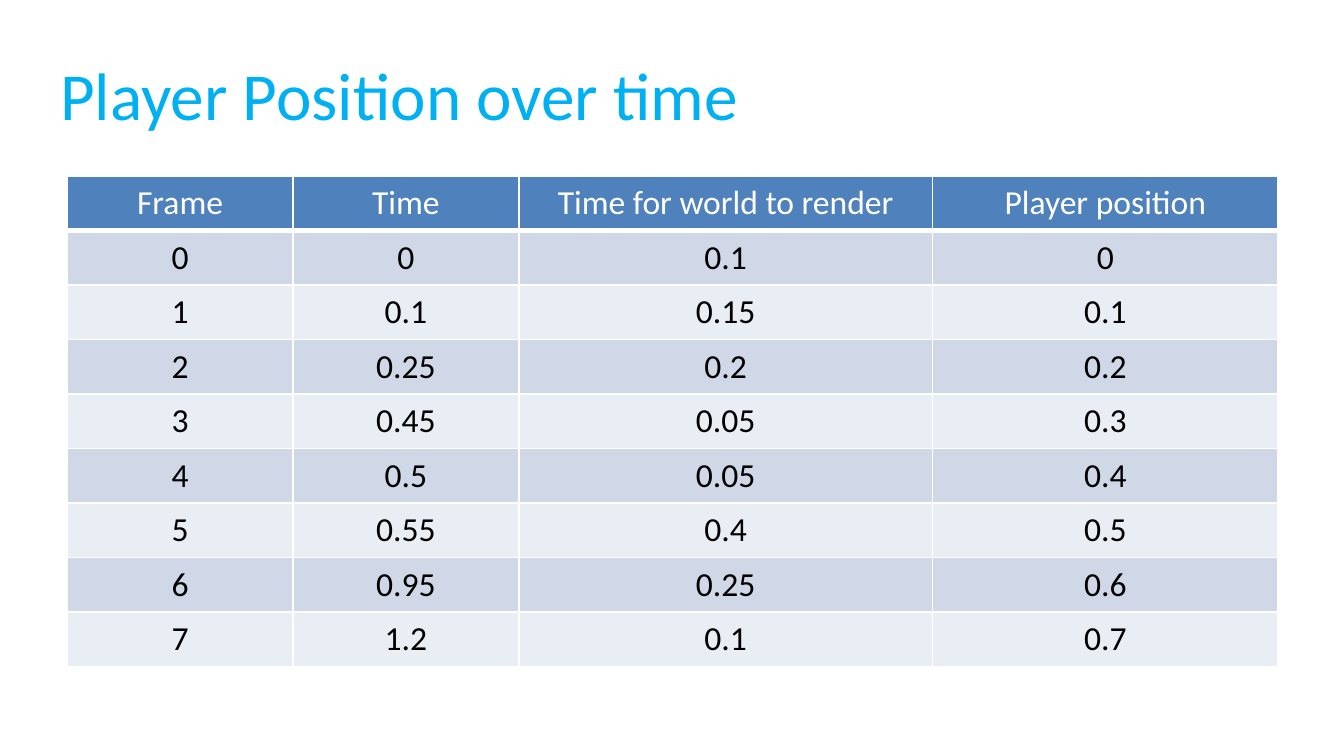
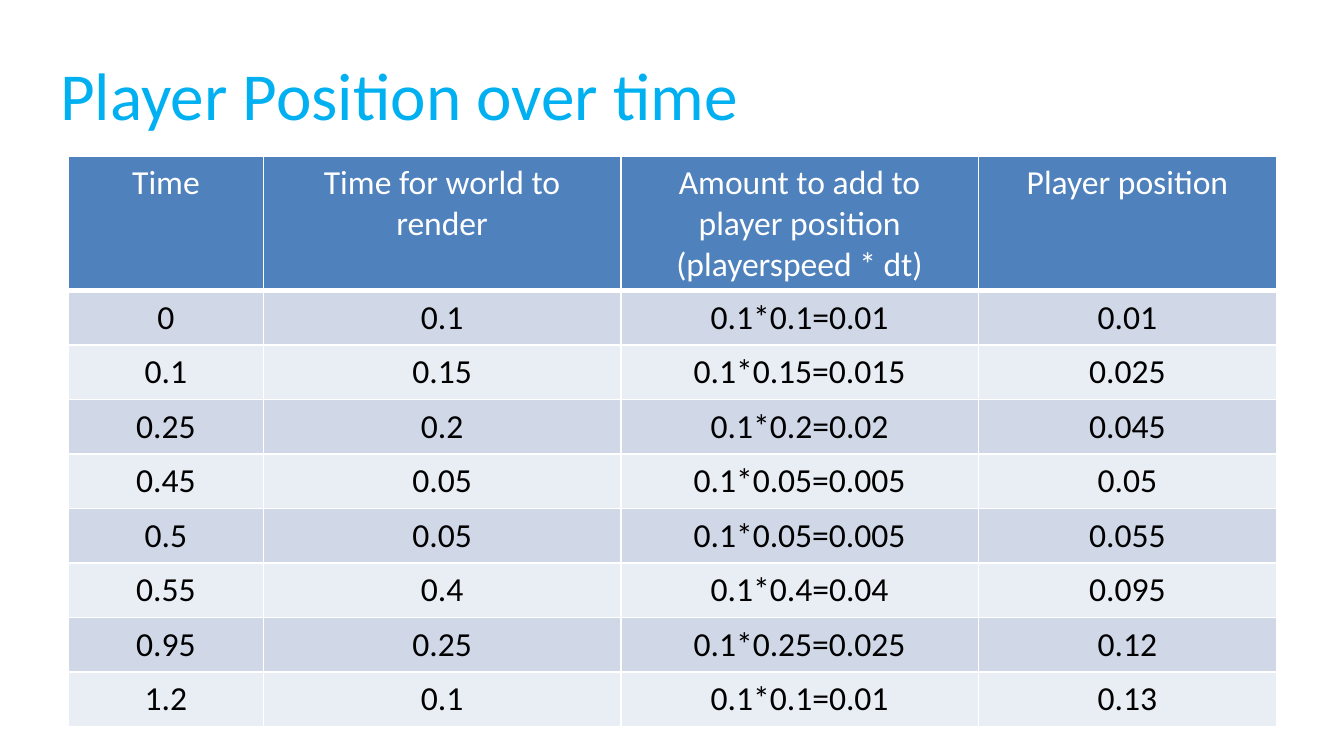
from lxml import etree
from pptx import Presentation
from pptx.dml.color import RGBColor
from pptx.enum import text
from pptx.oxml.ns import qn
from pptx.util import Inches, Pt

COLORS = {
    "title": "00B0F0",
    "header": "4F81BD",
    "odd": "D0D8E8",
    "even": "E9EDF4",
    "white": "FFFFFF",
    "black": "000000",
}
FONT = "Calibri"
TITLE = "Player Position over time"
ROW_HEIGHT = 3.65 / 9

TIMES = ["0", "0.1", "0.25", "0.45", "0.5", "0.55", "0.95", "1.2"]
RENDER_TIMES = ["0.1", "0.15", "0.2", "0.05", "0.05", "0.4", "0.25", "0.1"]
FRAMES = ["0", "1", "2", "3", "4", "5", "6", "7"]
FRAME_POSITIONS = ["0", "0.1", "0.2", "0.3", "0.4", "0.5", "0.6", "0.7"]
AMOUNTS = [f"0.1*{dt}={0.1 * float(dt):g}" for dt in RENDER_TIMES]
SCALED_POSITIONS = ["0.01", "0.025", "0.045", "0.05", "0.055", "0.095", "0.12", "0.13"]

# Each column: heading, width, values
TABLES = [
    {
        "at": (0.5, 1.31),
        "height": 3.65,
        "columns": [
            ("Frame", 1.68, FRAMES),
            ("Time", 1.68, TIMES),
            ("Time for world to render", 3.08, RENDER_TIMES),
            ("Player position", 2.57, FRAME_POSITIONS),
        ],
    },
    {
        "at": (0.51, 1.16),
        "height": 4.24,
        "columns": [
            ("Time", 1.45, TIMES),
            ("Time for world to render", 2.66, RENDER_TIMES),
            ("Amount to add to player position\n(playerspeed * dt)", 2.66, AMOUNTS),
            ("Player position", 2.22, SCALED_POSITIONS),
        ],
    },
]


def rgb(name):
    return RGBColor.from_string(COLORS[name])


def style_text(tf, size, color, align):
    for p in tf.paragraphs:
        p.alignment = align
        for r in p.runs:
            r.font.name = FONT
            r.font.size = Pt(size)
            r.font.bold = False
            r.font.color.rgb = rgb(color)


def add_title(s):
    sp = s.shapes.add_textbox(Inches(0.35), Inches(0.23), Inches(9.15), Inches(0.94))
    tf = sp.text_frame
    tf.word_wrap = True
    tf.vertical_anchor = text.MSO_ANCHOR.MIDDLE
    tf.text = TITLE
    style_text(tf, 36, "title", text.PP_ALIGN.LEFT)


def set_header_borders(cell):
    """White lines round a heading, heavier below; body cells keep the table style's."""
    tc_pr = cell._tc.get_or_add_tcPr()
    widths = {"lnL": 1, "lnR": 1, "lnT": 1, "lnB": 3}
    for i, (side, width) in enumerate(widths.items()):
        ln = etree.Element(qn(f"a:{side}"), w=str(Pt(width)))
        fill = etree.SubElement(ln, qn("a:solidFill"))
        etree.SubElement(fill, qn("a:srgbClr"), val=COLORS["white"])
        tc_pr.insert(i, ln)


def fill_cell(cell, value, row):
    cell.text_frame.text = value
    is_header = row == 0
    style_text(cell.text_frame, 18, "white" if is_header else "black",
               text.PP_ALIGN.CENTER)
    cell.fill.solid()
    band = "odd" if row % 2 else "even"
    cell.fill.fore_color.rgb = rgb("header" if is_header else band)
    if is_header:
        set_header_borders(cell)


def add_data_table(s, data):
    columns = data["columns"]
    left, top = data["at"]
    height = Inches(data["height"])
    n_rows = len(columns[0][2]) + 1
    width = sum(w for _, w, _ in columns)
    frame = s.shapes.add_table(n_rows, len(columns), Inches(left), Inches(top),
                               Inches(width), height)
    table = frame.table
    for row in table.rows:
        row.height = Inches(ROW_HEIGHT)
    for c, (heading, col_width, values) in enumerate(columns):
        table.columns[c].width = Inches(col_width)
        for r, value in enumerate([heading, *values]):
            fill_cell(table.cell(r, c), value, r)
    # The frame leaves room for a heading that wraps
    frame.height = height


def main():
    prs = Presentation()
    prs.slide_width = Inches(10)
    prs.slide_height = prs.slide_width * 9 // 16
    for data in TABLES:
        s = prs.slides.add_slide(prs.slide_layouts[6])
        add_title(s)
        add_data_table(s, data)
    prs.save("out.pptx")


if __name__ == "__main__":
    main()
